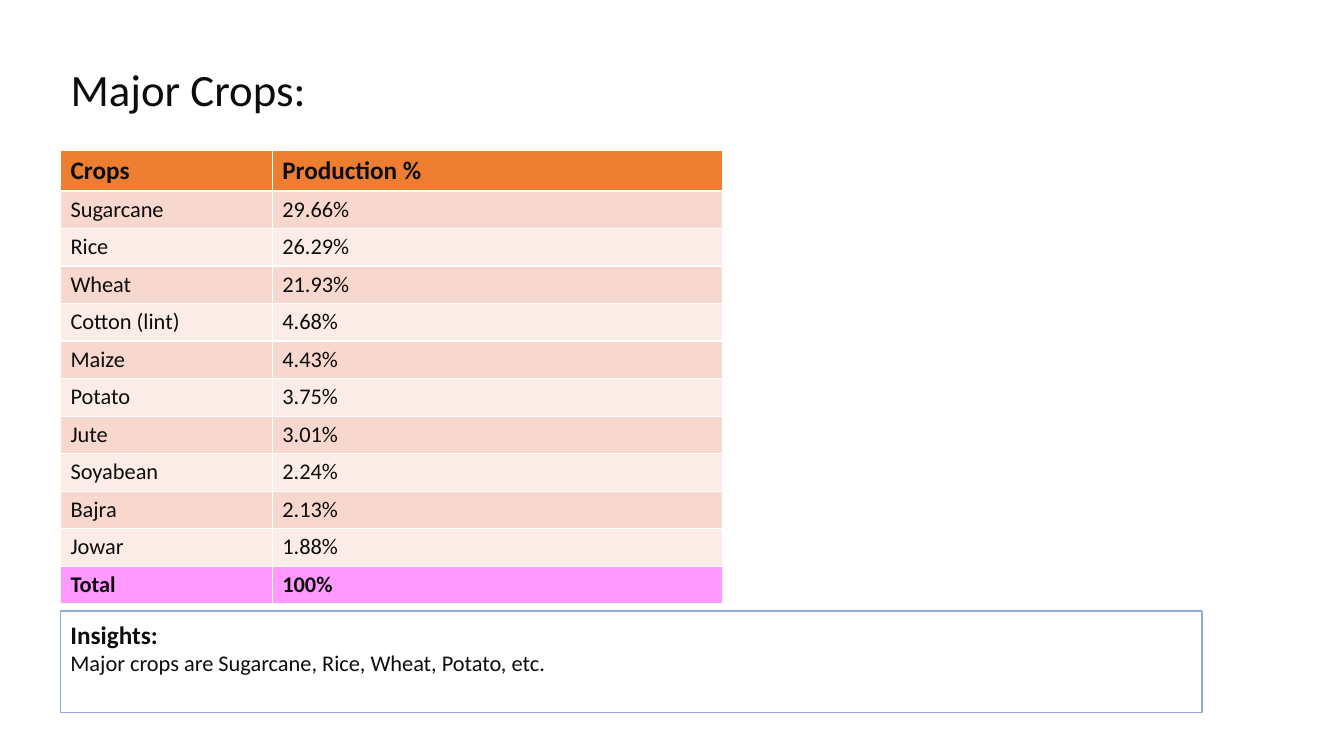
"""Build the major crops slide with its production table and insights box."""
from dataclasses import dataclass

from pptx import Presentation
from pptx.dml.color import RGBColor
from pptx.enum.shapes import MSO_SHAPE
from pptx.enum.text import MSO_ANCHOR, MSO_AUTO_SIZE, PP_ALIGN
from pptx.util import Inches, Pt


@dataclass(frozen=True)
class Theme:
    font: str = "Calibri"
    text: str = "0D0D0D"
    header: str = "ED7D31"
    bands: tuple = ("F8D7CE", "FCECE8")
    total: str = "FF99FF"
    outline: str = "8FAADC"
    title_size: int = 32
    heading_size: int = 18
    body_size: int = 16


theme = Theme()


def format_paragraph(paragraph, size, bold=False):
    paragraph.alignment = PP_ALIGN.LEFT
    for run in paragraph.runs:
        run.font.name = theme.font
        run.font.size = Pt(size)
        run.font.bold = bold
        run.font.color.rgb = RGBColor.from_string(theme.text)


presentation = Presentation()
presentation.slide_width = Inches(13.33)
presentation.slide_height = Inches(7.5)
slide = presentation.slides.add_slide(presentation.slide_layouts[5])
left = Inches(0.6)

title = slide.shapes.title
title.left, title.top = left, Inches(0.51)
title.width, title.height = Inches(10.34), Inches(0.73)
title.text_frame.text = "Major Crops:"
title.text_frame.auto_size = MSO_AUTO_SIZE.NONE
title.text_frame.vertical_anchor = MSO_ANCHOR.MIDDLE
format_paragraph(title.text_frame.paragraphs[0], theme.title_size)

crops = [
    ("Crops", "Production %"),
    ("Sugarcane", "29.66%"),
    ("Rice", "26.29%"),
    ("Wheat", "21.93%"),
    ("Cotton (lint)", "4.68%"),
    ("Maize", "4.43%"),
    ("Potato", "3.75%"),
    ("Jute", "3.01%"),
    ("Soyabean", "2.24%"),
    ("Bajra", "2.13%"),
    ("Jowar", "1.88%"),
    ("Total", "100%"),
]
last_row = len(crops) - 1
table = slide.shapes.add_table(
    len(crops), 2, left, Inches(1.49), Inches(6.57), Inches(0.37) * len(crops)
).table
table.columns[0].width = Inches(2.1)
table.columns[1].width = Inches(4.47)

for row, values in enumerate(crops):
    fill = theme.bands[(row - 1) % 2]
    if row == 0:
        fill = theme.header
    elif row == last_row:
        fill = theme.total
    size = theme.heading_size if row == 0 else theme.body_size
    for column, value in enumerate(values):
        cell = table.cell(row, column)
        cell.text_frame.text = value
        cell.fill.solid()
        cell.fill.fore_color.rgb = RGBColor.from_string(fill)
        format_paragraph(cell.text_frame.paragraphs[0], size, row in (0, last_row))

insights = slide.shapes.add_shape(
    MSO_SHAPE.RECTANGLE, left, Inches(6.06), Inches(11.32), Inches(1.01)
)
insights.shadow.inherit = False
insights.fill.background()
insights.line.color.rgb = RGBColor.from_string(theme.outline)
insights.line.width = Pt(1)
text_frame = insights.text_frame
text_frame.word_wrap = True
text_frame.vertical_anchor = MSO_ANCHOR.TOP
text_frame.margin_top = Inches(0.08)
text_frame.text = "Insights:"
format_paragraph(text_frame.paragraphs[0], theme.heading_size, True)
finding = text_frame.add_paragraph()
finding.text = "Major crops are Sugarcane, Rice, Wheat, Potato, etc."
format_paragraph(finding, theme.body_size)

presentation.save("out.pptx")
